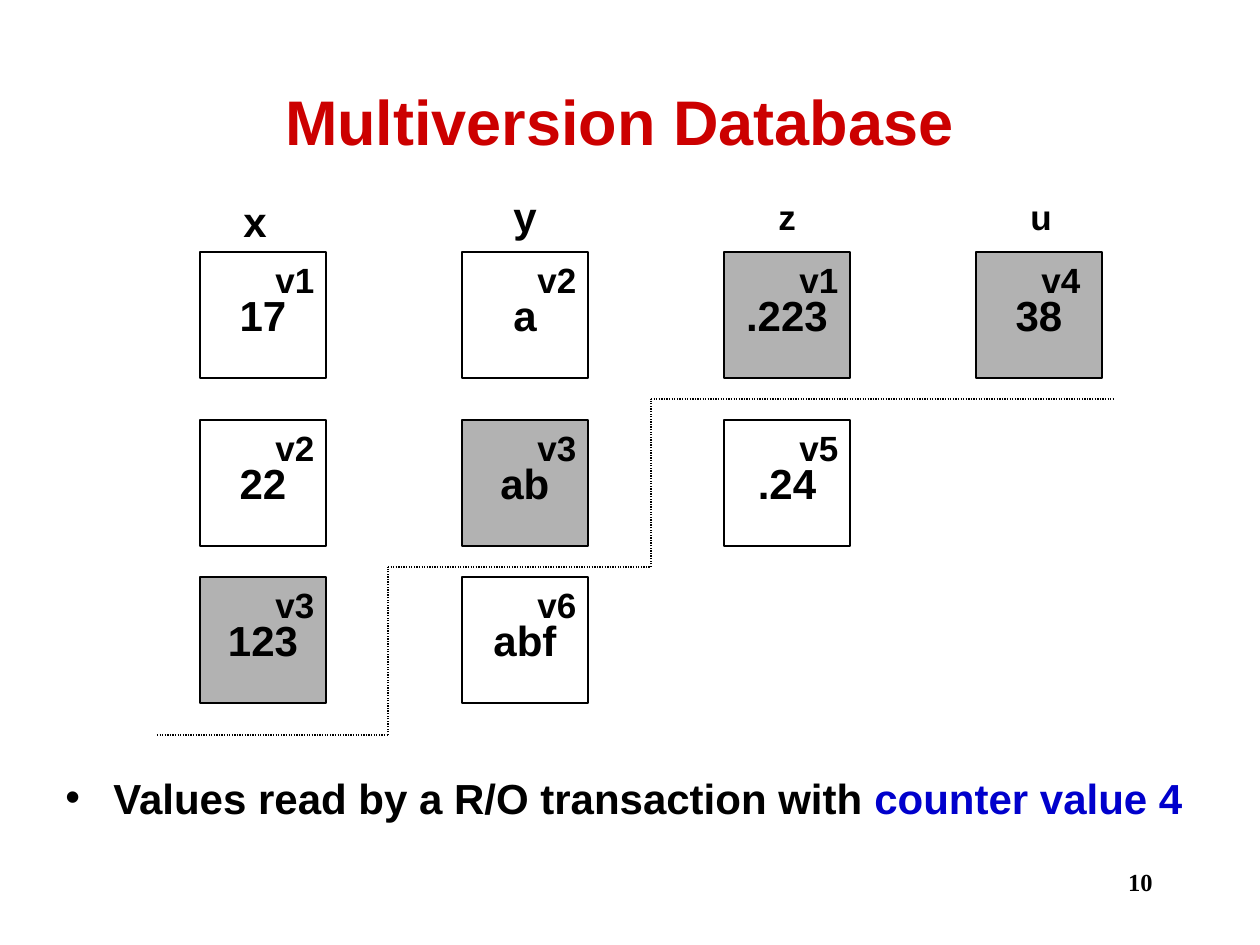
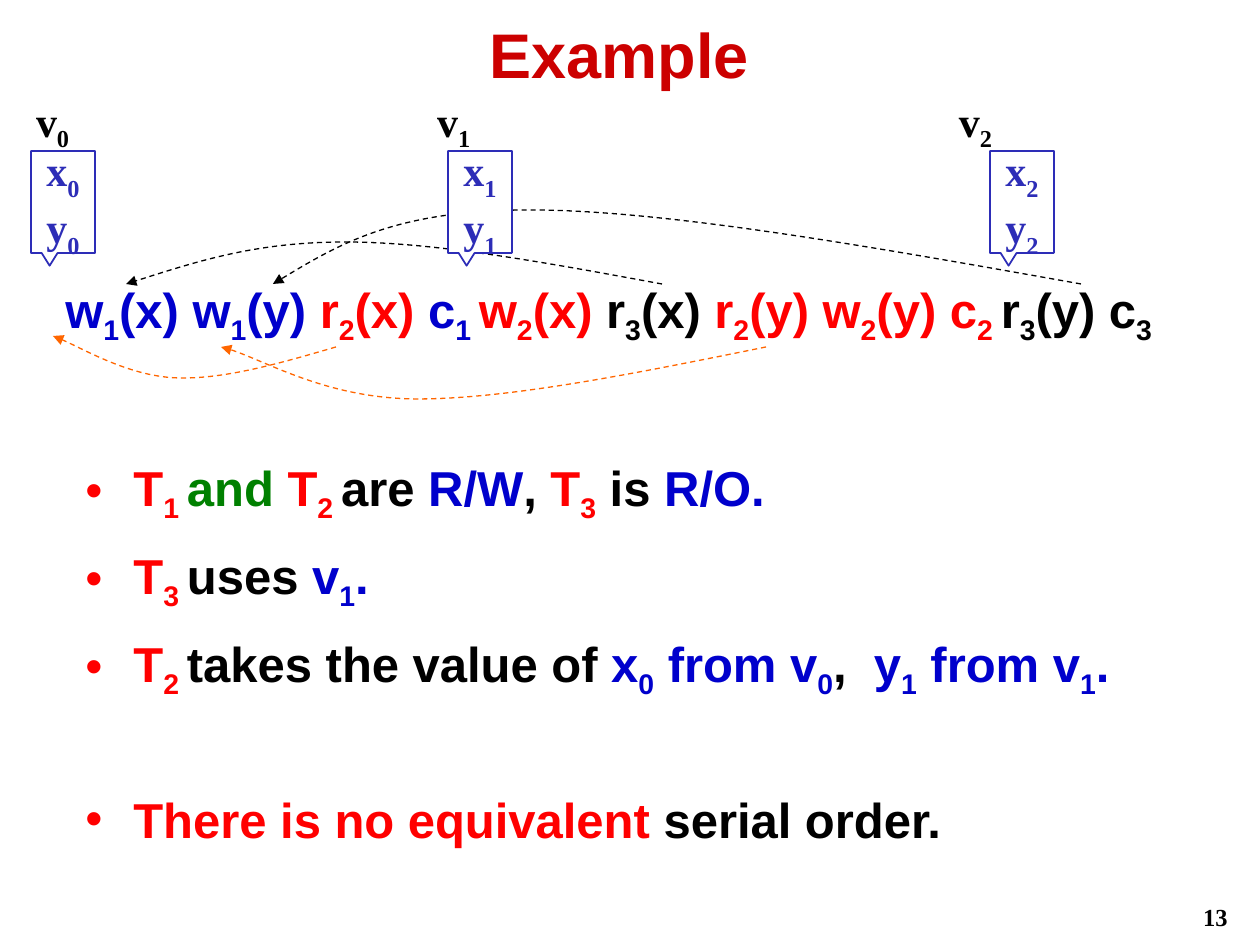
import pptx
import pptx.util
import pptx.dml.color
import pptx.enum.dml
import pptx.enum.shapes
import pptx.enum.text
import pptx.oxml.ns
import lxml.etree

Pt = pptx.util.Pt
rgb = pptx.dml.color.RGBColor.from_string
qn = pptx.oxml.ns.qn
SHAPE = pptx.enum.shapes.MSO_SHAPE
DASH = pptx.enum.dml.MSO_LINE
ALIGN = pptx.enum.text.PP_ALIGN
MIDDLE = pptx.enum.text.MSO_ANCHOR.MIDDLE
U = 914400 / 126
BLACK, BLUE, RED, GREEN = "000000", "0000CC", "FF0000", "008000"
ORANGE, INDIGO, GREY, WHITE = "FF6600", "2D2DB7", "B2B2B2", "FFFFFF"
TITLE = "CC0000"
SANS, SERIF = "Arial", "Times New Roman"


def px(*values):
    return [pptx.util.Emu(round(v * U)) for v in values]


def write(p, parts, size, font=SANS, align=ALIGN.LEFT, bullet_gap=None):
    # Text between bars is subscript
    p.alignment = align
    if bullet_gap is not None:
        p.space_before = Pt(bullet_gap)
        pPr = p._p.get_or_add_pPr()
        pPr.set("marL", str(px(48)[0]))
        pPr.set("indent", str(px(-48)[0]))
        lxml.etree.SubElement(pPr, qn("a:buFont")).set("typeface", SANS)
        lxml.etree.SubElement(pPr, qn("a:buChar")).set("char", "•")
    for text, color in parts:
        for i, piece in enumerate(text.split("|")):
            if piece:
                r = p.add_run()
                r.text = piece
                r.font.size, r.font.name, r.font.bold = Pt(size), font, True
                r.font.color.rgb = rgb(color)
                if i % 2:
                    r._r.get_or_add_rPr().set("baseline", "-25000")


prs = pptx.Presentation()
prs.slide_width, prs.slide_height = px(1260, 945)

slides = []
for title, top, height, number, number_box in [
    ("Multiversion Database", 42, 157, "10", (903, 861, 262, 63)),
    ("Example", 11, 84, "13", (1108, 896, 132, 40)),
]:
    s = prs.slides.add_slide(prs.slide_layouts[5])
    sp = s.shapes.title
    sp.left, sp.top, sp.width, sp.height = px(84, top, 1071, height)
    tf = sp.text_frame
    tf.auto_size = pptx.enum.text.MSO_AUTO_SIZE.NONE
    tf.vertical_anchor = MIDDLE
    write(tf.paragraphs[0], [(title, TITLE)], 36, align=ALIGN.CENTER)
    tf = s.shapes.add_textbox(*px(*number_box)).text_frame
    tf.word_wrap = True
    write(tf.paragraphs[0], [(number, BLACK)], 14, SERIF, ALIGN.RIGHT)
    slides.append(s)

s = slides[0]
rows = [252, 420, 577]
columns = [
    (200, "x", 231, 189, 24, 63, [("v1", "17"), ("v2", "22"), ("v3", "123")], 2),
    (462, "y", 501, 184, 24, 63, [("v2", "a"), ("v3", "ab"), ("v6", "abf")], 1),
    (724, "z", 766, 189, 20, 63, [("v1", ".223"), ("v5", ".24")], 0),
    (976, "u", 1018, 189, 20, 53, [("v4", "38")], 0),
]
for left, name, name_x, name_y, size, inset, versions, current in columns:
    tf = s.shapes.add_textbox(*px(name_x, name_y, 48, 60)).text_frame
    tf.word_wrap = True
    write(tf.paragraphs[0], [(name, BLACK)], size)
    for i, (version, value) in enumerate(versions):
        sp = s.shapes.add_shape(SHAPE.RECTANGLE, *px(left, rows[i], 126, 126))
        sp.shadow.inherit = False
        sp.fill.solid()
        sp.fill.fore_color.rgb = rgb(GREY if i == current else WHITE)
        sp.line.color.rgb, sp.line.width = rgb(BLACK), Pt(0.75)
        tf = sp.text_frame
        tf.word_wrap, tf.vertical_anchor = False, MIDDLE
        write(tf.paragraphs[0], [(value, BLACK)], 24, align=ALIGN.CENTER)
        tf = s.shapes.add_textbox(*px(left + inset, rows[i], 64, 54)).text_frame
        tf.word_wrap = False
        write(tf.paragraphs[0], [(version, BLACK)], 20)

steps = [(157, 735), (388, 735), (388, 567), (651, 567), (651, 399), (1113, 399)]
for start, end in zip(steps, steps[1:]):
    sp = s.shapes.add_connector(
        pptx.enum.shapes.MSO_CONNECTOR.STRAIGHT, *px(*start, *end))
    sp.line.color.rgb, sp.line.width = rgb(BLACK), Pt(0.75)
    sp.line.dash_style = DASH.ROUND_DOT
    lxml.etree.SubElement(sp._element.spPr, qn("a:effectLst"))

tf = s.shapes.add_textbox(*px(53, 766, 1176, 84)).text_frame
tf.word_wrap = True
write(tf.paragraphs[0], [("Values read by a R/O transaction with ", BLACK),
                         ("counter value 4", BLUE)], 24, bullet_gap=2)

s = slides[1]
tf = s.shapes.add_textbox(*px(73, 451, 1134, 410)).text_frame
tf.word_wrap = True
points = [
    (3, [("T|1 |", RED), ("and", GREEN), (" T|2 |", RED), ("are ", BLACK),
         ("R/W", BLUE), (", ", BLACK), ("T|3|", RED), (" is ", BLACK),
         ("R/O.", BLUE)]),
    (12, [("T|3 |", RED), ("uses ", BLACK), ("v|1|.", BLUE)]),
    (12, [("T|2 |", RED), ("takes the value of ", BLACK), ("x|0| from v|0|", BLUE),
          (",  ", BLACK), ("y|1| from v|1|.", BLUE)]),
    (51, [("There is no equivalent ", RED), ("serial order.", BLACK)]),
]
for i, (gap, parts) in enumerate(points):
    p = tf.add_paragraph() if i else tf.paragraphs[0]
    write(p, parts, 28, bullet_gap=gap)

tf = s.shapes.add_textbox(*px(53, 273, 1157, 72)).text_frame
tf.word_wrap = False
write(tf.paragraphs[0], [
    ("w|1|(x) w|1|(y) ", BLUE), ("r|2|(x)", RED), (" c|1 |", BLUE),
    ("w|2|(x) ", RED), ("r|3|(x) ", BLACK), ("r|2|(y) w|2|(y) c|2 |", RED),
    ("r|3|(y) c|3|", BLACK)], 28)

curves = [
    (BLACK, [(662, 284), (548, 263), (435, 242), (345, 242),
             (256, 242), (192, 263), (126, 284)]),
    (BLACK, [(1081, 284), (873, 247), (665, 210), (530, 210),
             (396, 210), (334, 247), (273, 284)]),
    (ORANGE, [(766, 347), (638, 373), (509, 399), (418, 399),
              (328, 399), (256, 355), (221, 347)]),
    (ORANGE, [(336, 347), (281, 363), (226, 379), (179, 378),
              (131, 377), (73, 343), (53, 336)]),
]
for color, knots in curves:
    builder = s.shapes.build_freeform(*knots[0], scale=U)
    builder.add_line_segments(knots[1:], close=False)
    sp = builder.convert_to_shape()
    sp.shadow.inherit = False
    sp.fill.background()
    sp.line.color.rgb, sp.line.width = rgb(color), Pt(0.75)
    sp.line.dash_style = DASH.DASH
    tail = lxml.etree.SubElement(sp.line._get_or_add_ln(), qn("a:tailEnd"))
    tail.set("type", "triangle")
    segments = list(sp._element.iter(qn("a:lnTo")))
    for i in (0, 3):
        curve = segments[i]
        for segment in segments[i + 1:i + 3]:
            curve.append(segment[0])
            segment.getparent().remove(segment)
        curve.tag = qn("a:cubicBezTo")

for i, (left, label_x) in enumerate([(31, 31), (448, 432), (990, 954)]):
    sp = s.shapes.add_shape(SHAPE.RECTANGULAR_CALLOUT, *px(left, 151, 64, 102))
    sp.shadow.inherit = False
    sp.fill.solid()
    sp.fill.fore_color.rgb = rgb(WHITE)
    sp.line.color.rgb, sp.line.width = rgb(INDIGO), Pt(1)
    tf = sp.text_frame
    tf.vertical_anchor = MIDDLE
    tf.margin_left = tf.margin_right = tf.margin_top = tf.margin_bottom = 0
    write(tf.paragraphs[0], [(f"x|{i}|", INDIGO)], 24, SERIF, ALIGN.CENTER)
    write(tf.add_paragraph(), [(f"y|{i}|", INDIGO)], 24, SERIF, ALIGN.CENTER)
    tf = s.shapes.add_textbox(*px(label_x, 95, 82, 57)).text_frame
    tf.word_wrap = True
    tf.margin_left = tf.margin_right = px(5)[0]
    tf.margin_top = 0
    write(tf.paragraphs[0], [(f"v|{i}|", BLACK)], 24, SERIF)

prs.save("out.pptx")
